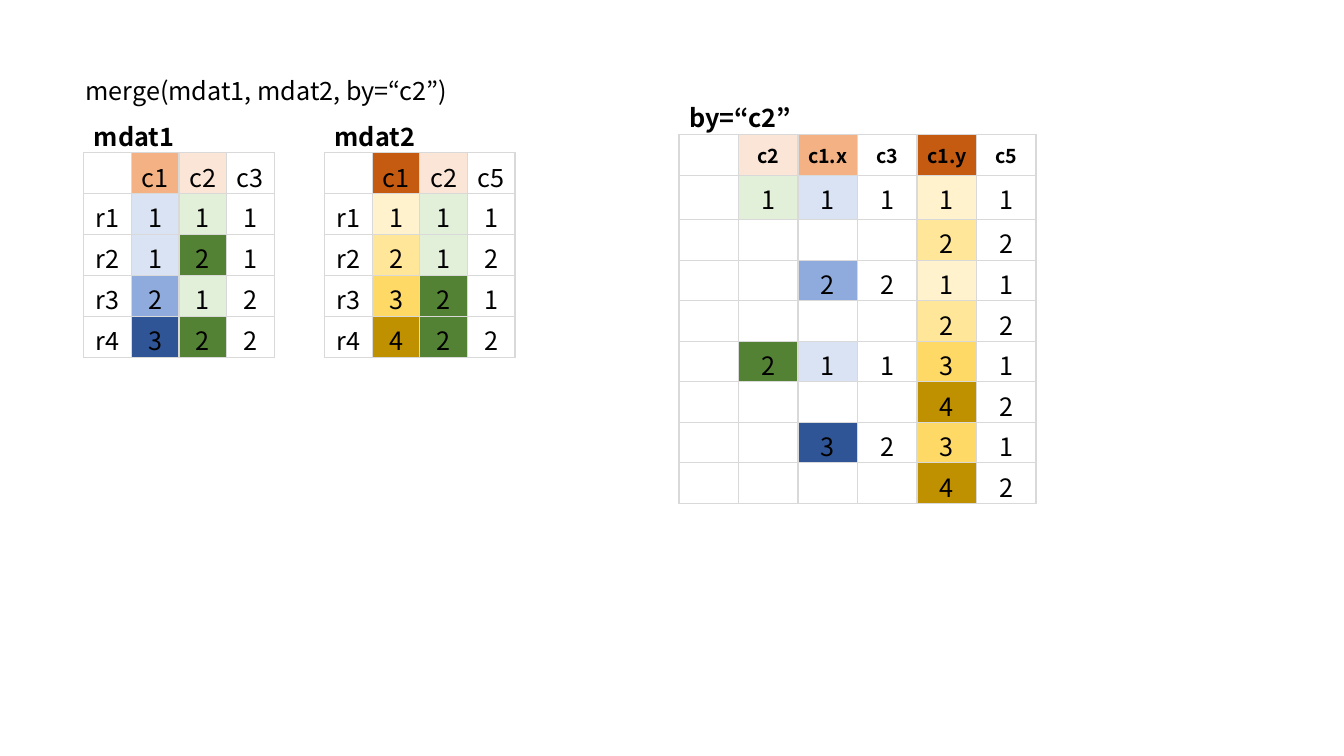
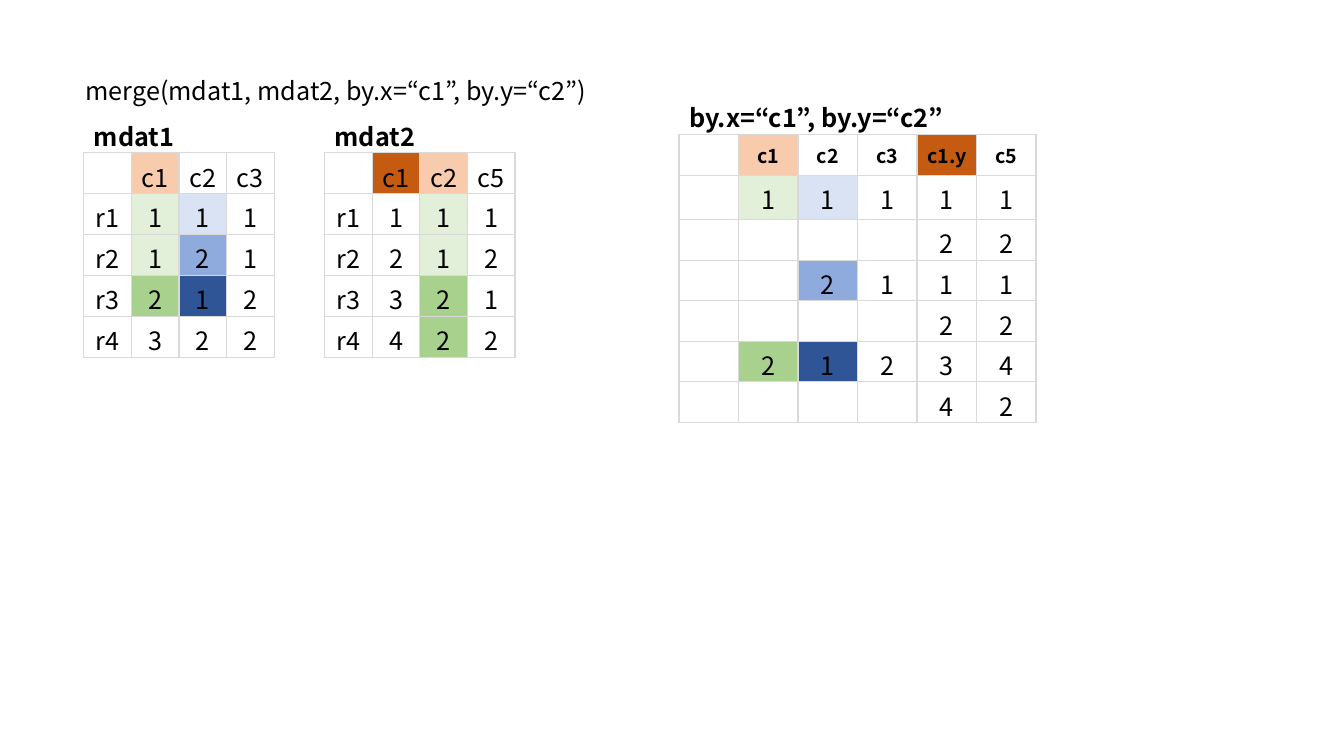
import dataclasses

import lxml.etree
import pptx
import pptx.dml.color
import pptx.enum.text
import pptx.oxml.ns
import pptx.util

Cm, Pt = pptx.util.Cm, pptx.util.Pt
Align, Anchor = pptx.enum.text.PP_ALIGN, pptx.enum.text.MSO_ANCHOR

# A cell is its value, optionally followed by the name of its fill.
SLIDES = [
    {
        "call": "merge(mdat1, mdat2, by=“c2”)",
        "mdat1": [
            ["", "c1 orange2", "c2 orange1", "c3"],
            ["r1", "1 blue1", "1 green1", "1"],
            ["r2", "1 blue1", "2 green3", "1"],
            ["r3", "2 blue2", "1 green1", "2"],
            ["r4", "3 blue3", "2 green3", "2"],
        ],
        "mdat2": [
            ["", "c1 rust", "c2 orange1", "c5"],
            ["r1", "1 gold1", "1 green1", "1"],
            ["r2", "2 gold2", "1 green1", "2"],
            ["r3", "3 gold3", "2 green3", "1"],
            ["r4", "4 gold4", "2 green3", "2"],
        ],
        "key": "by=“c2”",
        "merged": [
            ["", "c2 orange1", "c1.x orange2", "c3", "c1.y rust", "c5"],
            ["", "1 green1", "1 blue1", "1", "1 gold1", "1"],
            ["", "", "", "", "2 gold2", "2"],
            ["", "", "2 blue2", "2", "1 gold1", "1"],
            ["", "", "", "", "2 gold2", "2"],
            ["", "2 green3", "1 blue1", "1", "3 gold3", "1"],
            ["", "", "", "", "4 gold4", "2"],
            ["", "", "3 blue3", "2", "3 gold3", "1"],
            ["", "", "", "", "4 gold4", "2"],
        ],
    },
    {
        "call": "merge(mdat1, mdat2, by.x=“c1”, by.y=“c2”)",
        "mdat1": [
            ["", "c1 peach", "c2", "c3"],
            ["r1", "1 green1", "1 blue1", "1"],
            ["r2", "1 green1", "2 blue2", "1"],
            ["r3", "2 green2", "1 blue3", "2"],
            ["r4", "3", "2", "2"],
        ],
        "mdat2": [
            ["", "c1 rust", "c2 peach", "c5"],
            ["r1", "1 white", "1 green1", "1"],
            ["r2", "2 white", "1 green1", "2"],
            ["r3", "3 white", "2 green2", "1 white"],
            ["r4", "4 white", "2 green2", "2 white"],
        ],
        "key": "by.x=“c1”, by.y=“c2”",
        "merged": [
            ["", "c1 peach", "c2", "c3", "c1.y rust", "c5"],
            ["", "1 green1", "1 blue1", "1", "1", "1"],
            ["", "", "", "", "2", "2"],
            ["", "", "2 blue2", "1", "1", "1"],
            ["", "", "", "", "2", "2"],
            ["", "2 green2", "1 blue3", "2", "3", "4"],
            ["", "", "", "", "4", "2"],
        ],
    },
]


@dataclasses.dataclass(frozen=True)
class Theme:
    font: str = "Noto Sans CJK KR"
    body: int = 18
    small: int = 14
    text: str = "000000"
    rule: str = "D9D9D9"
    paper: str = "FFFFFF"
    fills: dict = dataclasses.field(default_factory=lambda: {
        "white": "FFFFFF", "rust": "C55A11", "peach": "F8CBAD",
        "orange1": "FBE5D6", "orange2": "F4B183",
        "blue1": "DAE3F3", "blue2": "8FAADC", "blue3": "2F5597",
        "green1": "E2F0D9", "green2": "A9D18E", "green3": "548235",
        "gold1": "FFF2CC", "gold2": "FFE699", "gold3": "FFD966", "gold4": "BF9000",
    })


THEME = Theme()
SOURCE_ROWS = [1.03] * 6
MERGED_ROWS = [1.03, 1.03, 1.11, 1.03] + [1.02] * 6


def rgb(value):
    return pptx.dml.color.RGBColor.from_string(value)


def write(frame, text, size=THEME.body, bold=False, align=Align.LEFT):
    paragraph = frame.paragraphs[0]
    paragraph.alignment = align
    run = paragraph.add_run()
    run.text = text
    run.font.name, run.font.size, run.font.bold = THEME.font, Pt(size), bold
    run.font.color.rgb = rgb(THEME.text)


def set_borders(cell, left, right, top, bottom):
    props = cell._tc.get_or_add_tcPr()
    qn = pptx.oxml.ns.qn
    for side, color in zip("LRTB", (left, right, top, bottom)):
        line = lxml.etree.SubElement(props, qn(f"a:ln{side}"), w=str(Pt(1)))
        fill = lxml.etree.SubElement(line, qn("a:solidFill"))
        lxml.etree.SubElement(fill, qn("a:srgbClr"), val=color)


def add_data_table(slide, caption, body, left, top, col_width, row_heights,
                   header_size=THEME.body, header_bold=False):
    """Draw a data frame under a caption that spans its open top row."""
    heights = [Cm(height) for height in row_heights[:len(body) + 1]]
    columns = len(body[0])
    grid = slide.shapes.add_table(len(heights), columns, Cm(left), Cm(top),
                                  Cm(col_width) * columns, sum(heights)).table
    grid.first_row = grid.horz_banding = False
    for column in grid.columns:
        column.width = Cm(col_width)
    for row, height in zip(grid.rows, heights):
        row.height = height

    for cell in grid.rows[0].cells:
        set_borders(cell, THEME.paper, THEME.paper, THEME.paper, THEME.rule)
        cell.fill.background()
    grid.cell(0, 0).merge(grid.cell(0, columns - 1))
    write(grid.cell(0, 0).text_frame, caption, bold=True)

    for r, entries in enumerate(body, start=1):
        header = r == 1
        for c, entry in enumerate(entries):
            value, _, fill = entry.partition(" ")
            cell = grid.cell(r, c)
            set_borders(cell, *[THEME.rule] * 4)
            if fill:
                cell.fill.solid()
                cell.fill.fore_color.rgb = rgb(THEME.fills[fill])
            else:
                cell.fill.background()
            if value:
                cell.vertical_anchor = Anchor.MIDDLE
                write(cell.text_frame, value, align=Align.CENTER,
                      size=header_size if header else THEME.body,
                      bold=header and header_bold)


def add_call_title(slide, call):
    title = slide.shapes.title
    title.left, title.top, title.width, title.height = Cm(1.9), Cm(1.78), Cm(16.94), Cm(1.02)
    frame = title.text_frame
    frame.word_wrap = True
    frame.auto_size = pptx.enum.text.MSO_AUTO_SIZE.SHAPE_TO_FIT_TEXT
    frame.vertical_anchor = Anchor.TOP
    write(frame, call)


def main():
    deck = pptx.Presentation()
    deck.slide_width, deck.slide_height = Cm(33.87), Cm(19.05)
    title_only = deck.slide_layouts[5]
    for content in SLIDES:
        slide = deck.slides.add_slide(title_only)
        add_call_title(slide, content["call"])
        for name, left in (("mdat1", 2.11), ("mdat2", 8.18)):
            add_data_table(slide, name, content[name], left, 2.82, 1.2, SOURCE_ROWS)
        add_data_table(slide, content["key"], content["merged"], 17.11, 2.36, 1.5,
                       MERGED_ROWS, header_size=THEME.small, header_bold=True)
    deck.save("out.pptx")


if __name__ == "__main__":
    main()
